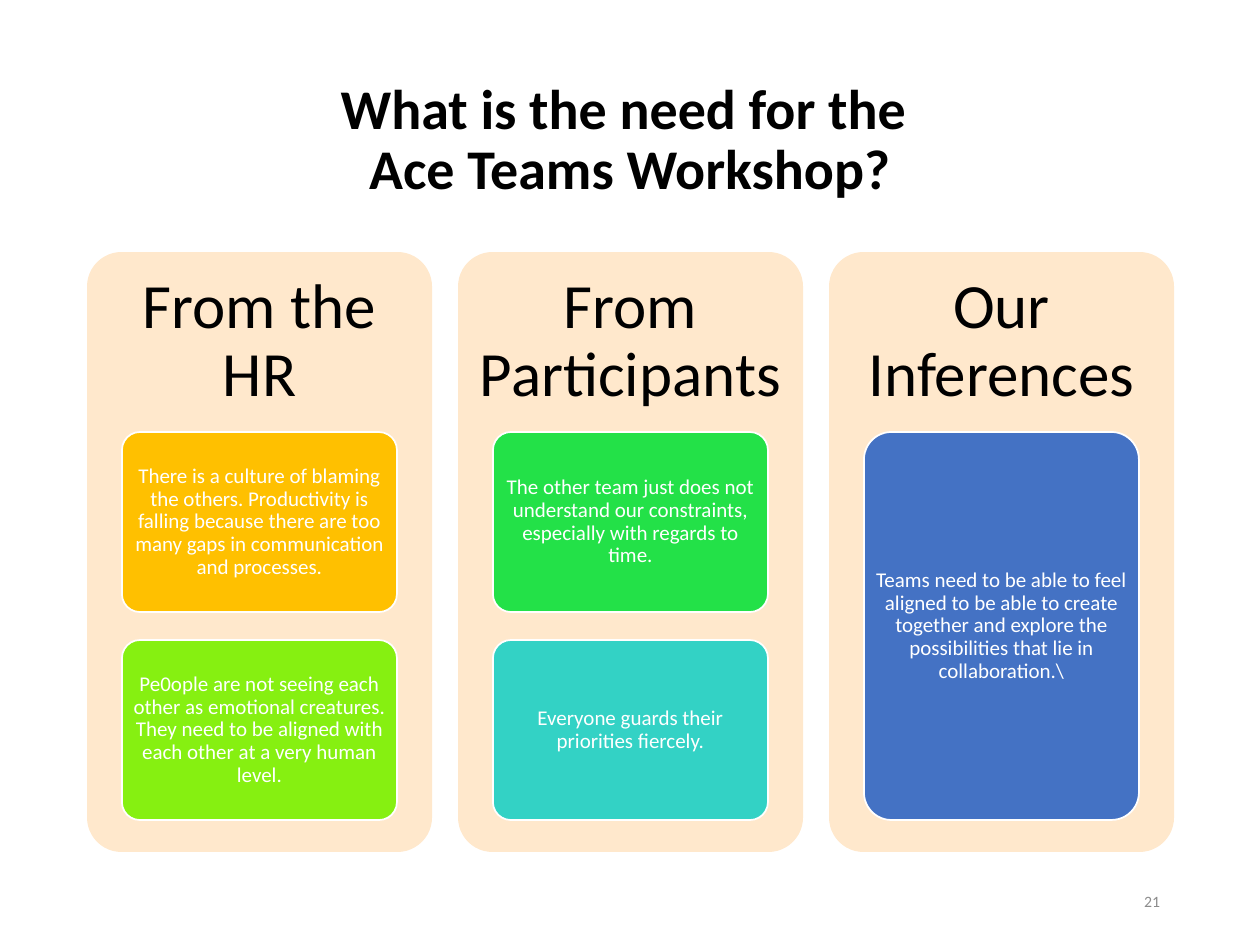
"""Builds the workshop needs slide with three columns of cards."""
import pptx
import pptx.dml.color
import pptx.enum.shapes
import pptx.enum.text
import pptx.util

COLORS = {
    "black": "000000", "white": "FFFFFF", "grey": "8C8C8C", "peach": "FFE8CC",
    "amber": "FFC000", "lime": "86F011", "green": "23E148", "teal": "33D2C5",
    "blue": "4472C4",
}
ALIGN = pptx.enum.text.PP_ALIGN
SCALE = 914400 / 126
LEFT, TOP, WIDTH, HEIGHT, PITCH = 87, 252, 345, 600, 371
HEAD, INSET, CARD, GAP = 180, 35, 180, 28
COLUMNS = [
    ("From the HR", [
        ("amber", "There is a culture of blaming the others. Productivity is falling "
                  "because there are too many gaps in communication and processes."),
        ("lime", "Pe0ople are not seeing each other as emotional creatures. They need "
                 "to be aligned with each other at a very human level."),
    ]),
    ("From Participants", [
        ("green", "The other team just does not understand our constraints, "
                  "especially with regards to time."),
        ("teal", "Everyone guards their priorities fiercely."),
    ]),
    ("Our Inferences", [
        ("blue", "Teams need to be able to feel aligned to be able to create together "
                 "and explore the possibilities that lie in collaboration.\\"),
    ]),
]


def px(*values):
    return [pptx.util.Emu(round(value * SCALE)) for value in values]


def color(name):
    return pptx.dml.color.RGBColor.from_string(COLORS[name])


class Deck:
    def __init__(self, slide, face="Calibri"):
        self.slide = slide
        self.face = face

    def fill_text(self, shape, text, size, tint, pad, bold=False, align=ALIGN.CENTER, space=0.9):
        frame = shape.text_frame
        frame.word_wrap = True
        frame.vertical_anchor = pptx.enum.text.MSO_ANCHOR.MIDDLE
        frame.margin_left, frame.margin_top, frame.margin_right, frame.margin_bottom = px(*pad)
        line = frame.paragraphs[0]
        line.text = text
        line.alignment = align
        line.line_spacing = space
        line.font.name = self.face
        line.font.size = pptx.util.Pt(size)
        line.font.bold = bold
        line.font.color.rgb = color(tint)

    def label(self, box, text, size, tint="black", pad=(13, 6, 13, 6), **style):
        shape = self.slide.shapes.add_textbox(*px(*box))
        self.fill_text(shape, text, size, tint, pad, **style)

    def panel(self, box, fill, edge=None):
        kind = pptx.enum.shapes.MSO_SHAPE.ROUNDED_RECTANGLE
        shape = self.slide.shapes.add_shape(kind, *px(*box))
        shape.adjustments[0] = 0.1
        shape.shadow.inherit = False
        shape.fill.solid()
        shape.fill.fore_color.rgb = color(fill)
        if edge:
            shape.line.color.rgb = color(edge)
            shape.line.width = pptx.util.Pt(1)
        else:
            shape.line.fill.background()
        return shape

    def card(self, box, fill, text):
        shape = self.panel(box, fill, "white")
        self.fill_text(shape, text, 12, "white", (4, 4, 4, 4))


def main():
    show = pptx.Presentation()
    show.slide_width, show.slide_height = px(1260, 945)
    deck = Deck(show.slides.add_slide(show.slide_layouts[6]))
    deck.label((87, 50, 1086, 183), "What is the need for the \vAce Teams Workshop?", 32, bold=True)
    for col, (head, cards) in enumerate(COLUMNS):
        left = LEFT + col * PITCH
        deck.panel((left, TOP, WIDTH, HEIGHT), "peach")
        deck.label((left, TOP, WIDTH, HEAD), head, 36, pad=(19, 19, 19, 19))
        tall = (2 * CARD + GAP - (len(cards) - 1) * GAP) // len(cards)
        for row, (fill, text) in enumerate(cards):
            top = TOP + HEAD + row * (tall + GAP)
            deck.card((left + INSET, top, WIDTH - 2 * INSET, tall), fill, text)
    deck.label((890, 876, 283, 50), "21", 9, "grey", align=ALIGN.RIGHT, space=1.0)
    show.save("out.pptx")


if __name__ == "__main__":
    main()
